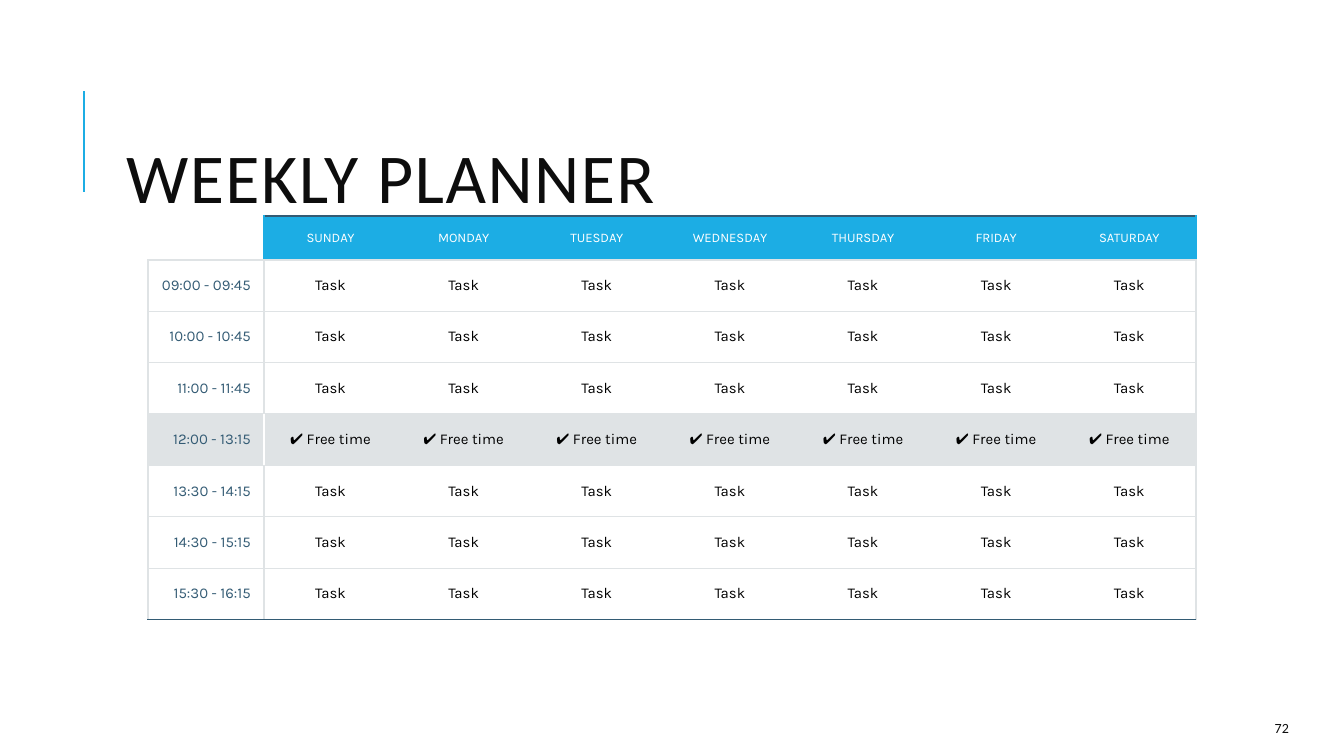
import pptx
import pptx.dml.color
import pptx.enum.shapes
import pptx.enum.text
import pptx.oxml.ns
import pptx.util
from lxml import etree

TITLE = "WEEKLY PLANNER"
PAGE_NUMBER = "72"
DAYS = ["SUNDAY", "MONDAY", "TUESDAY", "WEDNESDAY", "THURSDAY", "FRIDAY", "SATURDAY"]
SCHEDULE = [
    ("09:00 - 09:45", "Task"),
    ("10:00 - 10:45", "Task"),
    ("11:00 - 11:45", "Task"),
    ("12:00 - 13:15", "✔ Free time"),
    ("13:30 - 14:15", "Task"),
    ("14:30 - 15:15", "Task"),
    ("15:30 - 16:15", "Task"),
]
BREAK_ROW = 4

BLUE, NAVY, GREY, WHITE, BLACK, INK = "1CADE4", "335B74", "DFE3E5", "FFFFFF", "000000", "0D0D0D"
TABLE_LEFT, TABLE_TOP, TABLE_WIDTH, TABLE_HEIGHT = 148, 216, 1048, 404
TIME_WIDTH, HEADER_HEIGHT = 116, 44
INSET = 13

ALIGN = pptx.enum.text.PP_ALIGN
ANCHOR = pptx.enum.text.MSO_ANCHOR
qn = pptx.oxml.ns.qn


def px(length):
    return pptx.util.Emu(round(length * 914400 / 134.4))


def rgb(value):
    return pptx.dml.color.RGBColor.from_string(value)


def write(paragraph, text, size, font, color, align):
    paragraph.alignment = align
    run = paragraph.add_run()
    run.text = text
    run.font.size = pptx.util.Pt(size)
    run.font.name = font
    run.font.color.rgb = rgb(color)
    return run


def add_text(slide, box, text, size, align):
    frame = slide.shapes.add_textbox(*map(px, box)).text_frame
    frame.word_wrap = True
    frame.vertical_anchor = ANCHOR.BOTTOM
    frame.margin_left = frame.margin_right = frame.margin_top = frame.margin_bottom = px(INSET)
    return write(frame.paragraphs[0], text, size, "Calibri", INK, align), frame.paragraphs[0]


def horizontal_edge(edge, column):
    if edge == 0:
        return NAVY if column else None
    return NAVY if edge == len(SCHEDULE) + 1 else GREY


def vertical_edge(row, edge):
    if edge not in (0, 1, len(DAYS) + 1):
        return None
    if row == 0:
        return BLUE if edge else None
    return WHITE if (row, edge) == (BREAK_ROW, 1) else GREY


def set_borders(cell, row, column):
    edges = {
        "a:lnL": vertical_edge(row, column),
        "a:lnR": vertical_edge(row, column + 1),
        "a:lnT": horizontal_edge(row, column),
        "a:lnB": horizontal_edge(row + 1, column),
    }
    properties = cell._tc.get_or_add_tcPr()
    for tag, color in edges.items():
        border = etree.SubElement(properties, qn(tag), w=str(pptx.util.Pt(0.75)))
        if color:
            fill = etree.SubElement(border, qn("a:solidFill"))
            etree.SubElement(fill, qn("a:srgbClr"), val=color)
        else:
            etree.SubElement(border, qn("a:noFill"))


def fill_cell(cell, row, column, text):
    cell.margin_left = cell.margin_right = cell.margin_top = cell.margin_bottom = px(INSET)
    cell.vertical_anchor = ANCHOR.MIDDLE
    set_borders(cell, row, column)
    background = GREY if row == BREAK_ROW else BLUE if row == 0 and column else None
    if background:
        cell.fill.solid()
        cell.fill.fore_color.rgb = rgb(background)
    else:
        cell.fill.background()
    paragraph = cell.text_frame.paragraphs[0]
    if not text:
        etree.SubElement(paragraph._p, qn("a:endParaRPr"), sz="700")
        return
    color = WHITE if row == 0 else BLACK if column else NAVY
    align = ALIGN.CENTER if column else ALIGN.RIGHT
    write(paragraph, text, 8 if row else 7, "Karla", color, align)


def add_planner(slide):
    grid = [["", *DAYS]] + [[time] + [task] * len(DAYS) for time, task in SCHEDULE]
    box = (TABLE_LEFT, TABLE_TOP, TABLE_WIDTH, TABLE_HEIGHT)
    table = slide.shapes.add_table(len(grid), len(grid[0]), *map(px, box)).table
    table.first_row = table.horz_banding = False
    day_width = (TABLE_WIDTH - TIME_WIDTH) / len(DAYS)
    slot_height = (TABLE_HEIGHT - HEADER_HEIGHT) / len(SCHEDULE)
    for column, table_column in enumerate(table.columns):
        table_column.width = px(day_width if column else TIME_WIDTH)
    for row, texts in enumerate(grid):
        table.rows[row].height = px(slot_height if row else HEADER_HEIGHT)
        for column, text in enumerate(texts):
            fill_cell(table.cell(row, column), row, column, text)


def main():
    deck = pptx.Presentation()
    deck.slide_width, deck.slide_height = px(1344), px(756)
    slide = deck.slides.add_slide(deck.slide_layouts[6])

    accent = slide.shapes.add_connector(
        pptx.enum.shapes.MSO_CONNECTOR.STRAIGHT, px(84), px(192), px(84), px(91)
    )
    accent.line.color.rgb = rgb(BLUE)
    accent.line.width = pptx.util.Pt(1.5)
    etree.SubElement(accent._element.spPr, qn("a:effectLst"))

    heading, heading_line = add_text(slide, (113, 65, 1071, 165), TITLE, 37.5, ALIGN.LEFT)
    heading._r.get_or_add_rPr().set("spc", "80")
    heading_line.line_spacing = 0.8
    add_text(slide, (1195, 714, 107, 31), PAGE_NUMBER, 7.5, ALIGN.RIGHT)
    add_planner(slide)
    deck.save("out.pptx")


if __name__ == "__main__":
    main()
